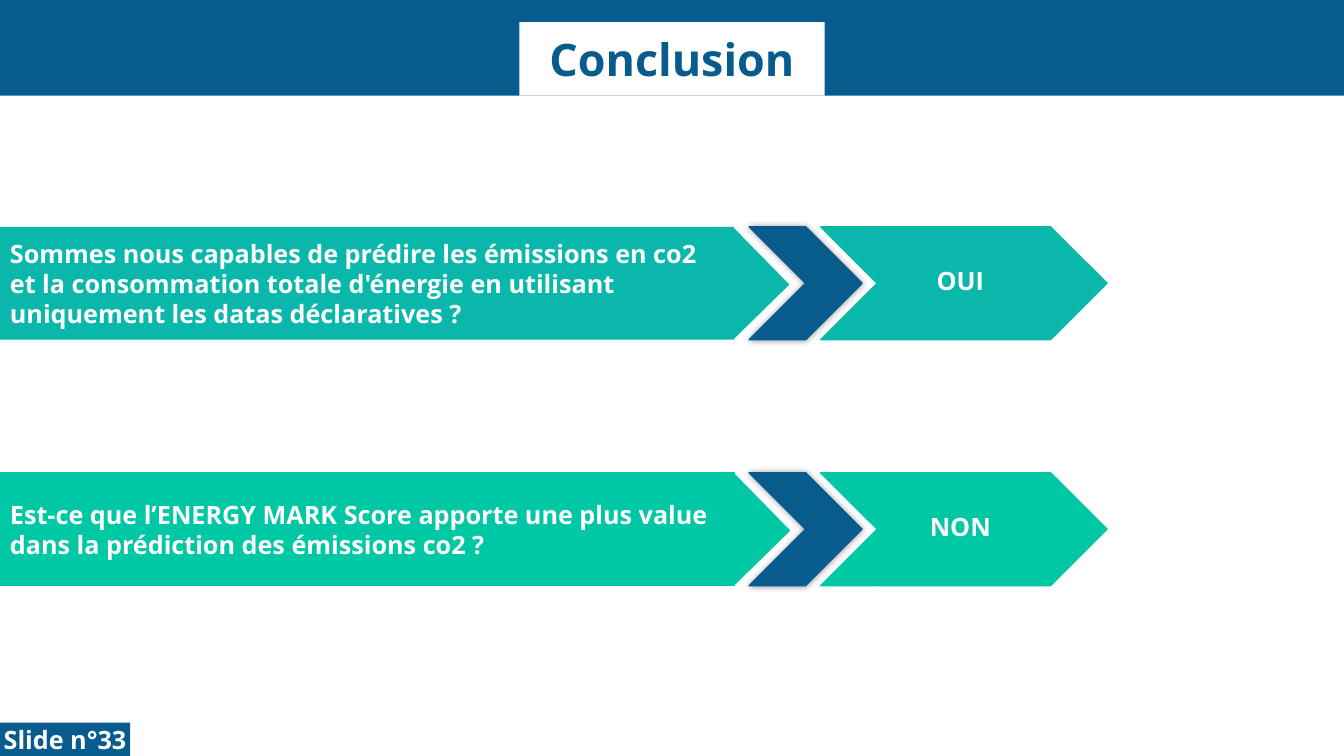
from dataclasses import dataclass

import lxml.etree
import pptx
import pptx.dml.color
import pptx.enum.shapes
import pptx.enum.text
import pptx.oxml.ns
import pptx.shapes.autoshape
import pptx.shapes.shapetree
import pptx.util

Inches = pptx.util.Inches
Pt = pptx.util.Pt
RGBColor = pptx.dml.color.RGBColor
Kind = pptx.enum.shapes.MSO_SHAPE
Align = pptx.enum.text.PP_ALIGN
Shape = pptx.shapes.autoshape.Shape
Tree = pptx.shapes.shapetree.SlideShapes | pptx.shapes.shapetree.GroupShapes
qn = pptx.oxml.ns.qn

BLUE = RGBColor(0x08, 0x5B, 0x8D)
TEAL = RGBColor(0x09, 0xB8, 0xAB)
GREEN = RGBColor(0x00, 0xC7, 0xA4)
WHITE = RGBColor(0xFF, 0xFF, 0xFF)

FONT = "Open Sans"
ARROW_HEIGHT = 1.12
LABEL_HEIGHT = 0.95


@dataclass(frozen=True)
class Finding:
    top: float
    color: RGBColor
    question: str
    answer: str
    question_outline: bool


FINDINGS = [
    Finding(
        2.25,
        TEAL,
        "Sommes nous capables de prédire les émissions en co2 et la consommation "
        "totale d'énergie en utilisant uniquement les datas déclaratives ?",
        "OUI",
        False,
    ),
    Finding(
        4.69,
        GREEN,
        "Est-ce que l’ENERGY MARK Score apporte une plus value "
        "dans la prédiction des émissions co2 ?",
        "NON",
        True,
    ),
]


def add_block(tree: Tree, kind: Kind, box: tuple[float, float, float, float],
              color: RGBColor, line_width: float = 0) -> Shape:
    block = tree.add_shape(kind, *(Inches(length) for length in box))
    block.shadow.inherit = False
    block.fill.solid()
    block.fill.fore_color.rgb = color
    if line_width:
        block.line.color.rgb = color
        block.line.width = Pt(line_width)
    else:
        block.line.fill.background()
    return block


def write(block: Shape, text: str, align: Align, size: float = 18,
          color: RGBColor = WHITE, insets: tuple[float, float] = (0, 0)) -> None:
    frame = block.text_frame
    frame.word_wrap = True
    frame.auto_size = pptx.enum.text.MSO_AUTO_SIZE.NONE
    frame.vertical_anchor = pptx.enum.text.MSO_ANCHOR.MIDDLE
    frame.margin_left = frame.margin_right = Inches(insets[0])
    frame.margin_top = frame.margin_bottom = Inches(insets[1])
    frame.text = text
    paragraph = frame.paragraphs[0]
    paragraph.alignment = align
    paragraph.font.name = FONT
    paragraph.font.size = Pt(size)
    paragraph.font.bold = True
    paragraph.font.color.rgb = color


def add_glow_shadow(block: Shape) -> None:
    effects = block.element.spPr.find(qn("a:effectLst"))
    shadow = lxml.etree.SubElement(effects, qn("a:outerShdw"),
                                   blurRad=str(Pt(5)), dist="0", dir="0")
    black = lxml.etree.SubElement(shadow, qn("a:srgbClr"), val="000000")
    lxml.etree.SubElement(black, qn("a:alpha"), val="40000")


def outline_text(block: Shape, color: RGBColor, width: float) -> None:
    for properties in block.element.iter(qn("a:defRPr")):
        line = lxml.etree.Element(qn("a:ln"), w=str(Pt(width)))
        fill = lxml.etree.SubElement(line, qn("a:solidFill"))
        lxml.etree.SubElement(fill, qn("a:srgbClr"), val=str(color))
        properties.insert(0, line)


def add_question(tree: Tree, finding: Finding) -> None:
    width, tip_width, tip_height = 7.28, 0.8, 0.78
    edge = 1 if finding.question_outline else 0
    label_edge = 0.75 if finding.question_outline else 0
    middle = finding.top + ARROW_HEIGHT / 2
    tip = add_block(tree, Kind.RIGHT_TRIANGLE,
                    (6.87, middle - tip_height / 2, tip_width, tip_height),
                    finding.color, edge)
    tip.rotation = 180 + 45.6
    add_block(tree, Kind.RECTANGLE, (0, finding.top, width, ARROW_HEIGHT),
              finding.color, edge)
    label = add_block(tree, Kind.RECTANGLE,
                      (0, middle - LABEL_HEIGHT / 2, width, LABEL_HEIGHT),
                      finding.color, label_edge)
    write(label, finding.question, Align.LEFT, insets=(0.1, 0.05))


def add_answer(tree: Tree, finding: Finding) -> None:
    left = 8.71
    add_block(tree, Kind.PENTAGON, (left, finding.top, 2.27, ARROW_HEIGHT),
              finding.color, 1)
    add_block(tree, Kind.CHEVRON, (8.14, finding.top, ARROW_HEIGHT, ARROW_HEIGHT),
              finding.color, 1)
    label = add_block(tree, Kind.RECTANGLE,
                      (left, finding.top + 0.06, 1.63, LABEL_HEIGHT),
                      finding.color, 0.75)
    write(label, finding.answer, Align.CENTER, insets=(0.1, 0.05))


def main() -> None:
    deck = pptx.Presentation()
    deck.slide_width = Inches(13.33)
    deck.slide_height = Inches(7.5)
    slide = deck.slides.add_slide(deck.slide_layouts[5])

    header = add_block(slide.shapes, Kind.RECTANGLE, (0, 0, 13.33, 0.95), BLUE)
    title = slide.shapes.title
    header.element.addnext(title.element)
    title.left, title.top = Inches(5.15), Inches(0.22)
    title.width, title.height = Inches(3.03), Inches(0.73)
    title.fill.solid()
    title.fill.fore_color.rgb = WHITE
    write(title, "Conclusion", Align.CENTER, 32, BLUE)
    outline_text(title, BLUE, 0.75)

    for finding in FINDINGS:
        add_answer(slide.shapes.add_group_shape().shapes, finding)
        link = add_block(slide.shapes, Kind.CHEVRON,
                         (7.43, finding.top, ARROW_HEIGHT, ARROW_HEIGHT), BLUE, 1)
        add_glow_shadow(link)
        add_question(slide.shapes.add_group_shape().shapes, finding)

    slide_number = add_block(slide.shapes, Kind.RECTANGLE, (0, 7.17, 1.29, 0.33), BLUE)
    write(slide_number, "Slide n°33", Align.CENTER)

    deck.save("out.pptx")


if __name__ == "__main__":
    main()
